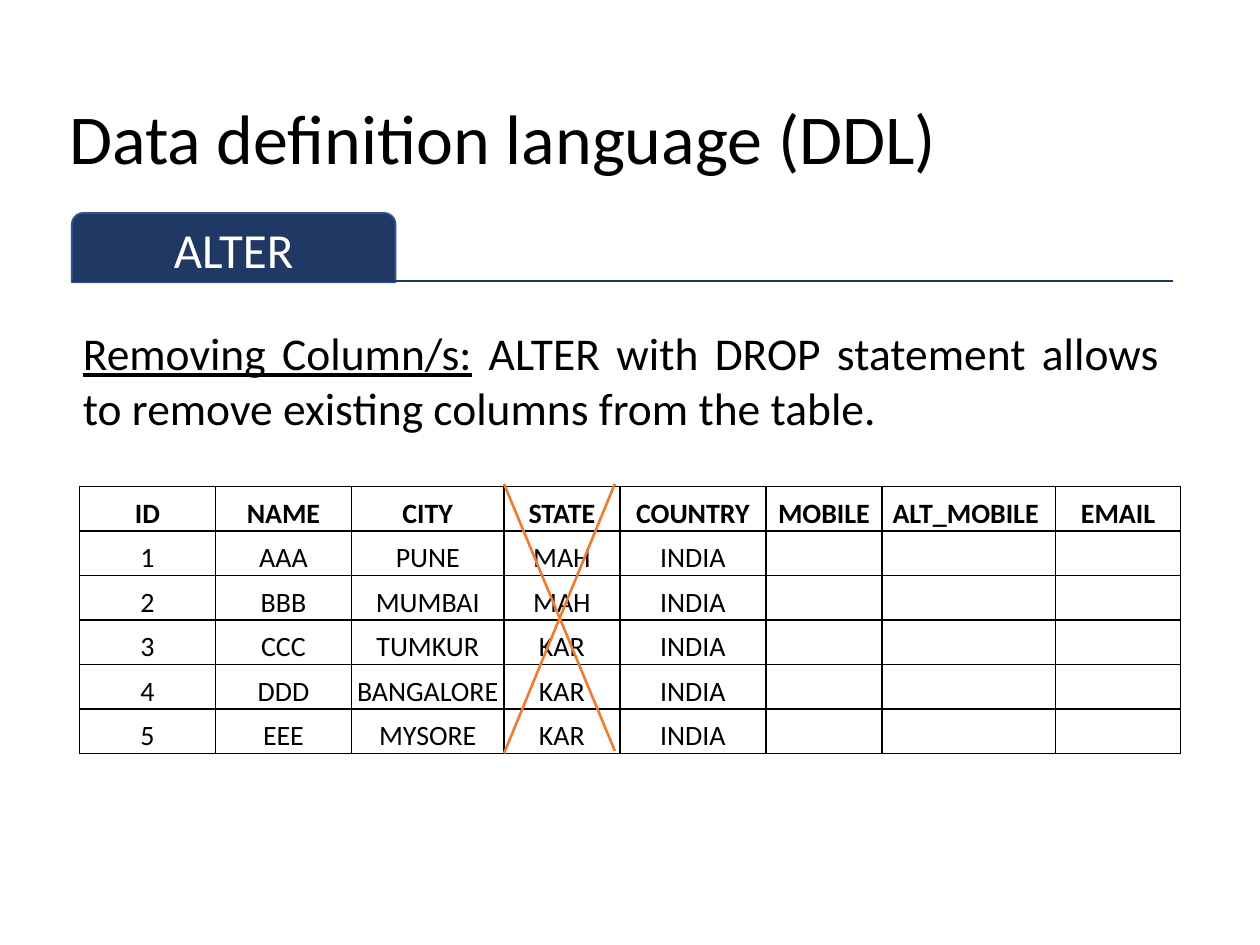
from typing import NamedTuple

from lxml import etree
from pptx import Presentation
from pptx.dml.color import RGBColor
from pptx.enum.shapes import MSO_CONNECTOR, MSO_SHAPE
from pptx.enum.text import MSO_ANCHOR, PP_ALIGN
from pptx.oxml.ns import qn
from pptx.util import Inches, Pt

STRAIGHT = MSO_CONNECTOR.STRAIGHT
TAB_SHAPE = MSO_SHAPE.ROUND_2_SAME_RECTANGLE
MIDDLE, BOTTOM = MSO_ANCHOR.MIDDLE, MSO_ANCHOR.BOTTOM
LEFT, CENTER, JUSTIFY = PP_ALIGN.LEFT, PP_ALIGN.CENTER, PP_ALIGN.JUSTIFY

FONT = "Calibri"
BLACK, WHITE = "000000", "FFFFFF"
NAVY, TAB_EDGE, ORANGE = "203864", "325491", "ED7D31"


class Line(NamedTuple):
    x1: float
    y1: float
    x2: float
    y2: float
    color: str


HEADING_RULE = Line(0.57, 2.23, 9.31, 2.23, NAVY)
STATE_CROSS = [
    Line(4.88, 3.84, 4, 5.98, ORANGE),
    Line(4, 3.84, 4.88, 5.96, ORANGE),
]

COLUMN_WIDTHS = [1.08, 1.08, 1.21, 0.92, 1.16, 0.92, 1.38, 0.99]
TABLE_HEIGHT = 2.12
TABLE_ROWS = [
    ["ID", "NAME", "CITY", "STATE", "COUNTRY", "MOBILE", "ALT_MOBILE ", "EMAIL"],
    ["1", "AAA", "PUNE", "MAH", "INDIA", "", "", ""],
    ["2", "BBB", "MUMBAI", "MAH", "INDIA", "", "", ""],
    ["3", "CCC", "TUMKUR", "KAR", "INDIA", "", "", ""],
    ["4", "DDD", "BANGALORE", "KAR", "INDIA", "", "", ""],
    ["5", "EEE", "MYSORE", "KAR", "INDIA", "", "", ""],
]


def rgb(color: str) -> RGBColor:
    return RGBColor.from_string(color)


def format_paragraph(paragraph, size: float, color: str, alignment, bold: bool = False) -> None:
    paragraph.alignment = alignment
    paragraph.font.name = FONT
    paragraph.font.size = Pt(size)
    paragraph.font.bold = bold
    paragraph.font.color.rgb = rgb(color)


def add_title(slide) -> None:
    title = slide.shapes.title
    title.left, title.top = Inches(0.45), Inches(0.4)
    title.width, title.height = Inches(8.87), Inches(1.45)
    title.text_frame.text = "Data definition language (DDL)"
    title.text_frame.vertical_anchor = MIDDLE
    paragraph = title.text_frame.paragraphs[0]
    paragraph.line_spacing = 0.9
    format_paragraph(paragraph, 40, BLACK, LEFT)


def add_tab(slide) -> None:
    tab = slide.shapes.add_shape(
        TAB_SHAPE, Inches(0.57), Inches(1.69), Inches(2.57), Inches(0.55)
    )
    tab.shadow.inherit = False
    tab.fill.solid()
    tab.fill.fore_color.rgb = rgb(NAVY)
    tab.line.color.rgb = rgb(TAB_EDGE)
    tab.line.width = Pt(1)
    tab.text_frame.text = "ALTER"
    tab.text_frame.vertical_anchor = MIDDLE
    format_paragraph(tab.text_frame.paragraphs[0], 28, WHITE, CENTER)


def add_line(slide, line: Line) -> None:
    connector = slide.shapes.add_connector(
        STRAIGHT, Inches(line.x1), Inches(line.y1), Inches(line.x2), Inches(line.y2)
    )
    connector.line.color.rgb = rgb(line.color)
    connector.line.width = Pt(1.5)
    etree.SubElement(connector._element.spPr, qn("a:effectLst"))


def add_description(slide) -> None:
    box = slide.shapes.add_textbox(
        Inches(0.56), Inches(2.53), Inches(8.74), Inches(1.41)
    )
    box.text_frame.word_wrap = True
    paragraph = box.text_frame.paragraphs[0]
    format_paragraph(paragraph, 26, BLACK, JUSTIFY)
    term = paragraph.add_run()
    term.text = "Removing Column/s:"
    term.font.underline = True
    explanation = paragraph.add_run()
    explanation.text = (
        " ALTER with DROP statement allows to remove existing columns from the table."
    )


def add_cell_borders(cell) -> None:
    properties = cell._tc.get_or_add_tcPr()
    for side in ("a:lnL", "a:lnR", "a:lnT", "a:lnB"):
        border = etree.SubElement(properties, qn(side), w=str(Pt(1)))
        fill = etree.SubElement(border, qn("a:solidFill"))
        etree.SubElement(fill, qn("a:srgbClr"), val=BLACK)


def format_cell(cell, text: str, bold: bool) -> None:
    cell.text = text
    cell.vertical_anchor = BOTTOM
    cell.margin_left = cell.margin_right = cell.margin_top = Inches(0.01)
    cell.margin_bottom = 0
    add_cell_borders(cell)
    cell.fill.background()
    format_paragraph(cell.text_frame.paragraphs[0], 16, BLACK, CENTER, bold)


def add_customer_table(slide) -> None:
    table = slide.shapes.add_table(
        len(TABLE_ROWS), len(COLUMN_WIDTHS), Inches(0.63), Inches(3.86),
        Inches(sum(COLUMN_WIDTHS)), Inches(TABLE_HEIGHT),
    ).table
    table.first_row = False
    table.horz_banding = False
    for column, width in zip(table.columns, COLUMN_WIDTHS):
        column.width = Inches(width)
    for row_index, (row, values) in enumerate(zip(table.rows, TABLE_ROWS)):
        row.height = Inches(TABLE_HEIGHT / len(TABLE_ROWS))
        for cell, text in zip(row.cells, values):
            format_cell(cell, text, bold=row_index == 0)


def main() -> None:
    presentation = Presentation()
    presentation.slide_width, presentation.slide_height = Inches(10), Inches(7.5)
    title_only = presentation.slide_layouts[5]
    slide = presentation.slides.add_slide(title_only)
    add_title(slide)
    add_tab(slide)
    add_line(slide, HEADING_RULE)
    add_description(slide)
    add_customer_table(slide)
    for line in STATE_CROSS:
        add_line(slide, line)
    presentation.save("out.pptx")


if __name__ == "__main__":
    main()
